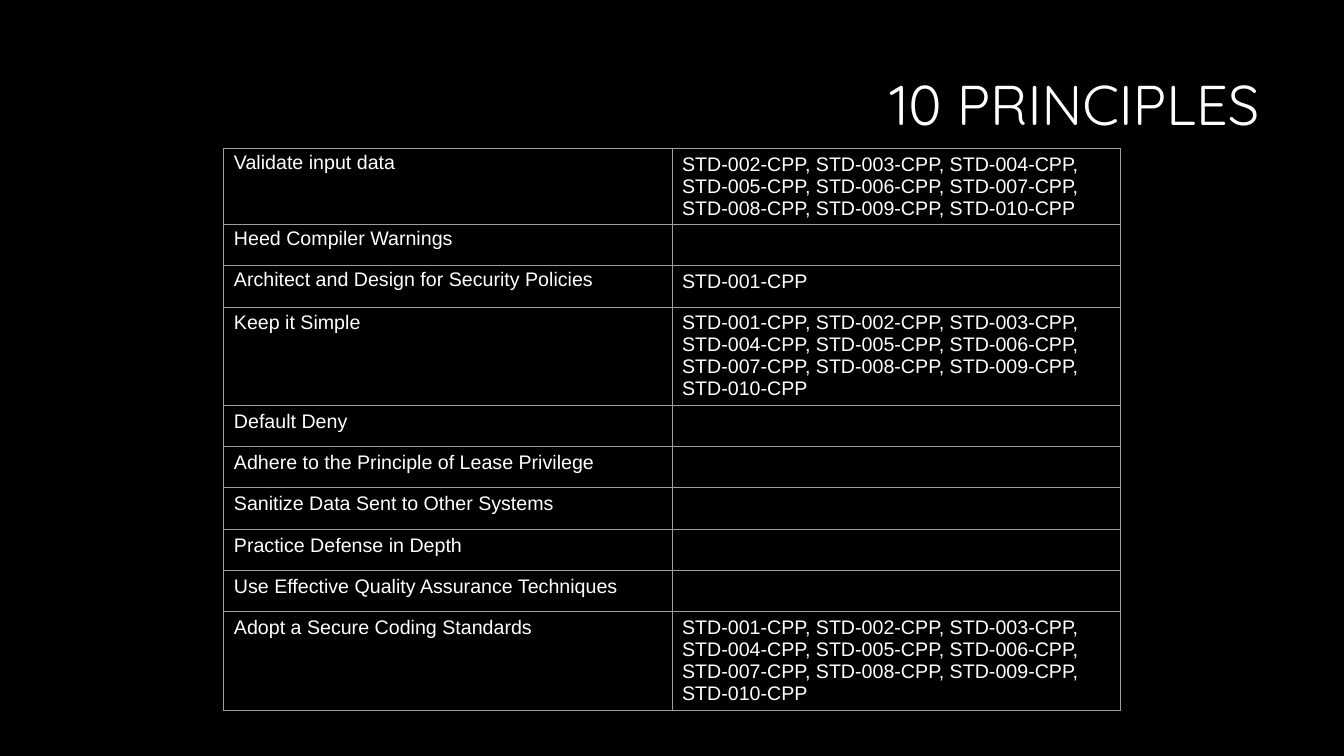
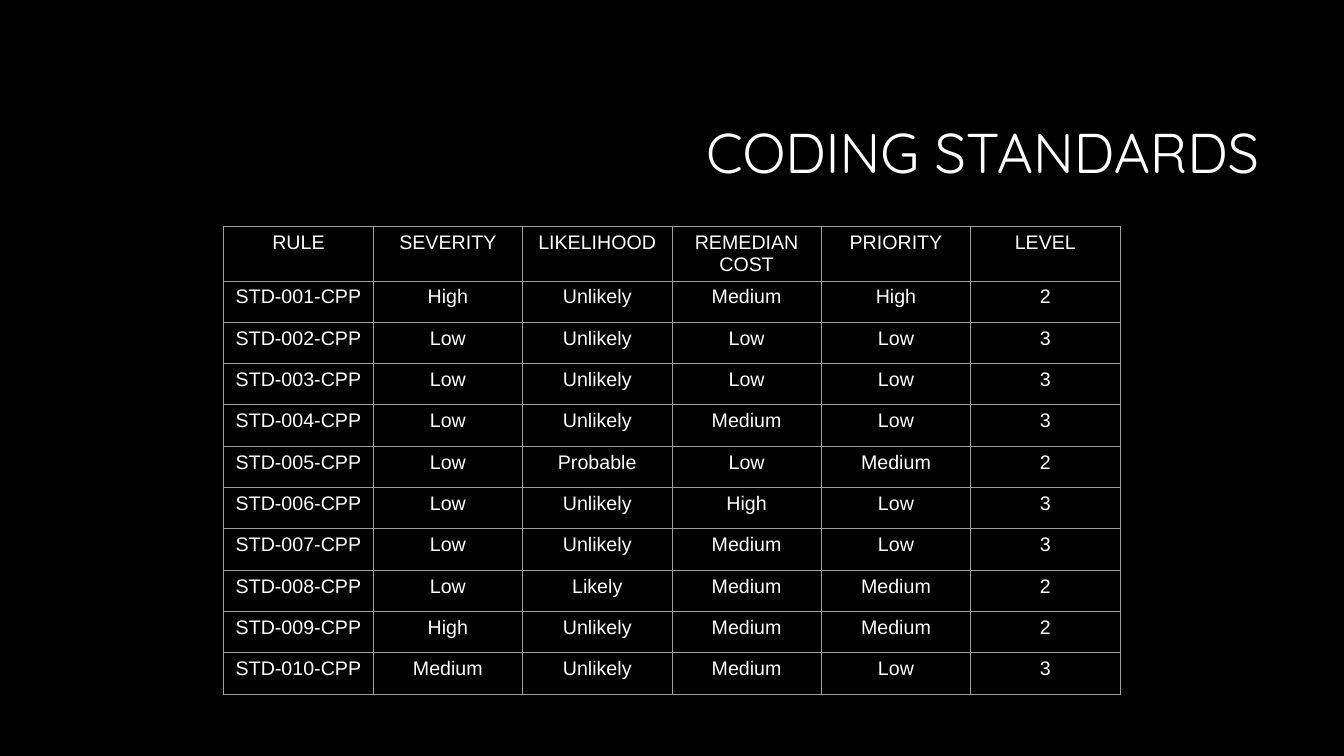
from lxml.etree import SubElement
from pptx import Presentation
from pptx.dml.color import RGBColor
from pptx.enum.text import MSO_ANCHOR, MSO_AUTO_SIZE, PP_ALIGN
from pptx.oxml.ns import qn
from pptx.util import Inches, Pt

COLORS = {"background": "000000", "text": "FFFFFF", "border": "9E9E9E"}
TITLE_FONT = {"name": "Quicksand", "size": Pt(40), "bold": False}
TABLE_FONT = {"name": "Arial", "size": Pt(14), "bold": False}
TITLE_FRAME = {
    "word_wrap": True,
    "auto_size": MSO_AUTO_SIZE.NONE,
    "vertical_anchor": MSO_ANCHOR.MIDDLE,
    "margin_left": Inches(0.1),
    "margin_right": Inches(0.1),
    "margin_top": Inches(0.05),
    "margin_bottom": Inches(0.05),
}
TABLE_LEFT, TABLE_WIDTH, ROW_HEIGHT = 2.22, 8.89, 0.41
BORDER_WIDTH = Pt(0.75)
TIGHT_SPACING = 0.9


def rule(number):
    return f"STD-{number:03}-CPP"


def rules(first, last):
    return ", ".join(rule(n) for n in range(first, last + 1))


PRINCIPLES = [
    ("Validate input data", rules(2, 10)),
    ("Heed Compiler Warnings", ""),
    ("Architect and Design for Security Policies", rule(1)),
    ("Keep it Simple", rules(1, 10)),
    ("Default Deny", ""),
    ("Adhere to the Principle of Lease Privilege", ""),
    ("Sanitize Data Sent to Other Systems", ""),
    ("Practice Defense in Depth", ""),
    ("Use Effective Quality Assurance Techniques", ""),
    ("Adopt a Secure Coding Standards", rules(1, 10)),
]
TIGHT_PRINCIPLES = 3  # leading rows whose names use the tighter line spacing

HEADINGS = ("RULE", "SEVERITY", "LIKELIHOOD", "REMEDIAN COST", "PRIORITY", "LEVEL")
RATINGS = [
    ("High", "Unlikely", "Medium", "High", "2"),
    ("Low", "Unlikely", "Low", "Low", "3"),
    ("Low", "Unlikely", "Low", "Low", "3"),
    ("Low", "Unlikely", "Medium", "Low", "3"),
    ("Low", "Probable", "Low", "Medium", "2"),
    ("Low", "Unlikely", "High", "Low", "3"),
    ("Low", "Unlikely", "Medium", "Low", "3"),
    ("Low", "Likely", "Medium", "Medium", "2"),
    ("High", "Unlikely", "Medium", "Medium", "2"),
    ("Medium", "Unlikely", "Medium", "Low", "3"),
]


def color(name):
    return RGBColor.from_string(COLORS[name])


def apply(target, values):
    for name, value in values.items():
        setattr(target, name, value)


def write(p, text, font, align):
    p.alignment = align
    r = p.add_run()
    r.text = text
    apply(r.font, font)
    r.font.color.rgb = color("text")


def add_titled_slide(prs, title, top):
    s = prs.slides.add_slide(prs.slide_layouts[5])
    sp = s.shapes.title
    apply(sp, {"left": Inches(3.17), "top": Inches(top),
               "width": Inches(9.42), "height": Inches(1.41)})
    tf = sp.text_frame
    apply(tf, TITLE_FRAME)
    p = tf.paragraphs[0]
    p.line_spacing = TIGHT_SPACING
    write(p, title, TITLE_FONT, PP_ALIGN.RIGHT)
    return s


def add_borders(cell):
    tc_pr = cell._tc.get_or_add_tcPr()
    for side in ("lnL", "lnR", "lnT", "lnB"):
        line = SubElement(tc_pr, qn(f"a:{side}"), w=str(int(BORDER_WIDTH)))
        fill = SubElement(line, qn("a:solidFill"))
        SubElement(fill, qn("a:srgbClr"), val=COLORS["border"])


def add_grid(s, rows, top, align):
    """Add a bordered table with equal columns; rows grow to fit their text."""
    n_rows, n_cols = len(rows), len(rows[0])
    frame = s.shapes.add_table(
        n_rows, n_cols, Inches(TABLE_LEFT), Inches(top),
        Inches(TABLE_WIDTH), Inches(ROW_HEIGHT * n_rows))
    table = frame.table
    apply(table, {"first_row": False, "horz_banding": False})
    for i, values in enumerate(rows):
        for j, text in enumerate(values):
            cell = table.cell(i, j)
            add_borders(cell)
            cell.fill.background()
            if text:
                write(cell.text_frame.paragraphs[0], text, TABLE_FONT, align)
    return table


def add_principles(prs):
    s = add_titled_slide(prs, "10 PRINCIPLES", 0.36)
    table = add_grid(s, PRINCIPLES, 1.47, PP_ALIGN.LEFT)
    for i in range(TIGHT_PRINCIPLES):
        table.cell(i, 0).text_frame.paragraphs[0].line_spacing = TIGHT_SPACING


def add_coding_standards(prs):
    s = add_titled_slide(prs, "CODING STANDARDS", 0.84)
    rows = [HEADINGS] + [(rule(n), *rating) for n, rating in enumerate(RATINGS, 1)]
    add_grid(s, rows, 2.25, PP_ALIGN.CENTER)


def main():
    prs = Presentation()
    prs.slide_width, prs.slide_height = Inches(13.33), Inches(7.5)
    fill = prs.slide_master.background.fill
    fill.solid()
    fill.fore_color.rgb = color("background")
    add_principles(prs)
    add_coding_standards(prs)
    prs.save("out.pptx")


if __name__ == "__main__":
    main()
